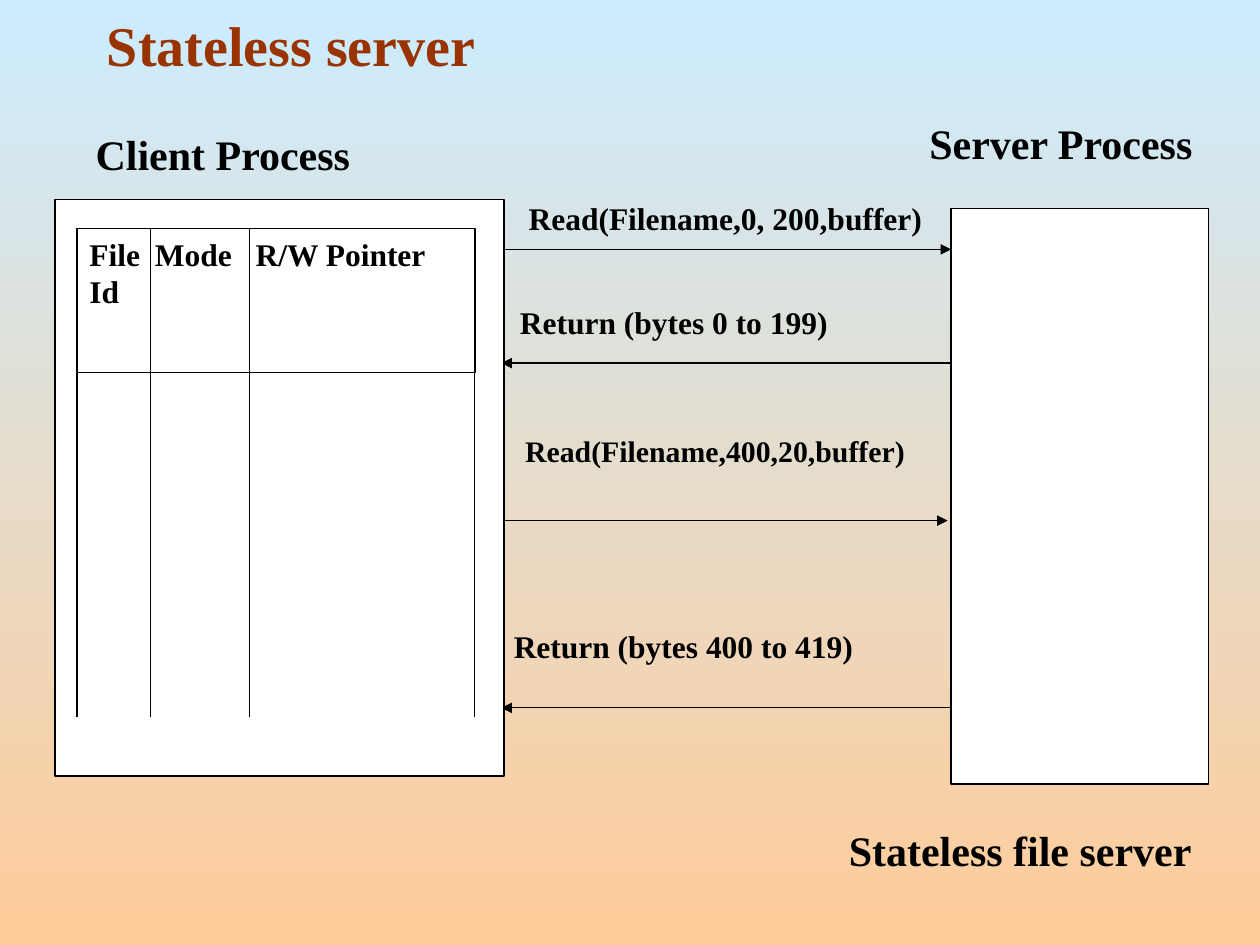
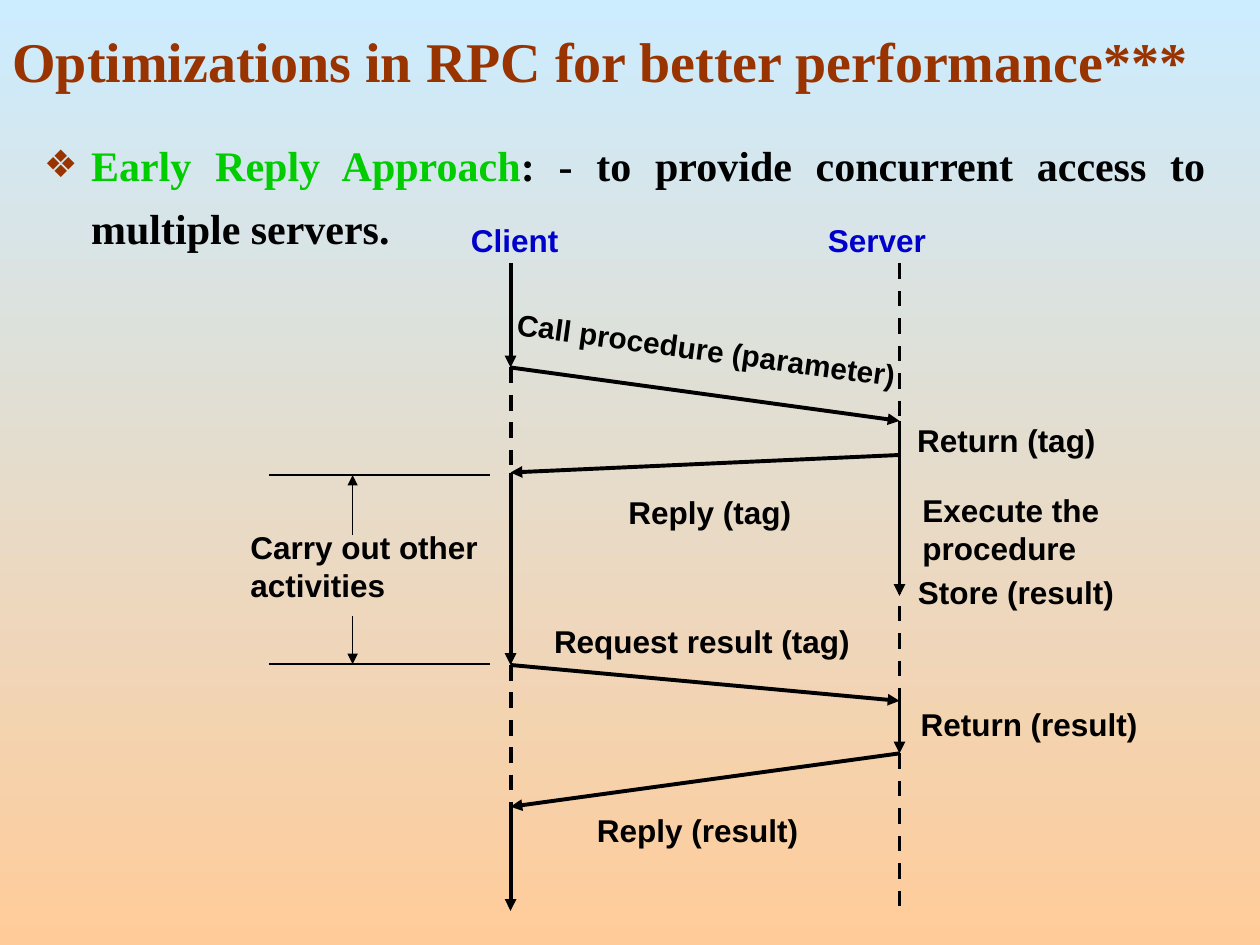
from lxml.etree import SubElement
from pptx import Presentation
from pptx.dml.color import RGBColor
from pptx.enum.dml import MSO_LINE
from pptx.enum.shapes import MSO_CONNECTOR, MSO_SHAPE
from pptx.enum.text import MSO_ANCHOR, PP_ALIGN
from pptx.oxml.ns import qn
from pptx.util import Pt

SKY = RGBColor(0xCC, 0xEC, 0xFF)
PEACH = RGBColor(0xFF, 0xCC, 0x99)
RUST = RGBColor(0x99, 0x33, 0x00)
GREEN = RGBColor(0x00, 0xCC, 0x00)
BLUE = RGBColor(0x00, 0x00, 0xCC)
BLACK = RGBColor(0, 0, 0)
WHITE = RGBColor(0xFF, 0xFF, 0xFF)
SERIF = "Times New Roman"
SANS = "Arial"
THIN = 0.75
THICK = 2.25


def new_slide(deck):
    slide = deck.slides.add_slide(deck.slide_layouts[6])
    backdrop = slide.background.fill
    backdrop.gradient()
    backdrop.gradient_angle = 270
    for stop, colour in zip(backdrop.gradient_stops, (SKY, PEACH)):
        stop.color.rgb = colour
    return slide


def style(font, face, size, colour=BLACK):
    font.name, font.size, font.bold = face, Pt(size), True
    font.color.rgb = colour


def add_text(slide, text, box, face=SERIF, size=18, colour=BLACK):
    label = slide.shapes.add_textbox(*map(Pt, box))
    label.text_frame.word_wrap = True
    label.text_frame.text = text
    style(label.text_frame.paragraphs[0].runs[0].font, face, size, colour)
    return label


def add_title(slide, text, box):
    title = add_text(slide, text, box, size=32, colour=RUST)
    title.text_frame.vertical_anchor = MSO_ANCHOR.BOTTOM


def add_line(slide, start, end, width=THIN, arrow=False, dashed=False):
    stroke = slide.shapes.add_connector(
        MSO_CONNECTOR.STRAIGHT, *map(Pt, (*start, *end)))
    stroke.line.color.rgb = BLACK
    stroke.line.width = Pt(width)
    if dashed:
        stroke.line.dash_style = MSO_LINE.DASH
    properties = stroke._element.spPr
    if arrow:
        SubElement(properties.find(qn("a:ln")), qn("a:tailEnd"), type="triangle")
    SubElement(properties, qn("a:effectLst"))


def add_panel(slide, box):
    panel = slide.shapes.add_shape(MSO_SHAPE.RECTANGLE, *map(Pt, box))
    panel.shadow.inherit = False
    panel.fill.solid()
    panel.fill.fore_color.rgb = WHITE
    panel.line.color.rgb = BLACK
    panel.line.width = Pt(THIN)
    return panel


def add_file_table(slide):
    left, top, width, height = 44, 130.5, 227.5, 82.5
    bottom = 409.5
    header = add_panel(slide, (left, top, width, height))
    frame = header.text_frame
    frame.vertical_anchor = MSO_ANCHOR.TOP
    frame.text = "File\tMode\tR/W Pointer\nId"
    for paragraph in frame.paragraphs:
        paragraph.alignment = PP_ALIGN.LEFT
        stops = SubElement(paragraph._p.get_or_add_pPr(), qn("a:tabLst"))
        for position in (37.5, 95):
            SubElement(stops, qn("a:tab"), pos=str(Pt(position)), algn="l")
        for run in paragraph.runs:
            style(run.font, SERIF, 18)
    for x, start in ((left, top + height), (86, top), (142.5, top),
                     (left + width - 0.5, top + height)):
        add_line(slide, (x, start), (x, bottom))


def add_bullet(slide, heading, rest, box):
    body = add_text(slide, heading, box, size=24, colour=GREEN)
    paragraph = body.text_frame.paragraphs[0]
    paragraph.alignment = PP_ALIGN.JUSTIFY
    paragraph.line_spacing = 1.25
    properties = paragraph._p.get_or_add_pPr()
    properties.set("marL", str(Pt(27)))
    properties.set("indent", str(-Pt(27)))
    colour = SubElement(properties, qn("a:buClr"))
    SubElement(colour, qn("a:srgbClr"), val=str(RUST))
    SubElement(properties, qn("a:buSzPct"), val="90000")
    SubElement(properties, qn("a:buFont"), typeface=SANS)
    SubElement(properties, qn("a:buChar"), char="❖")
    explanation = paragraph.add_run()
    explanation.text = rest
    style(explanation.font, SERIF, 24)


def build_stateless_server(deck):
    slide = new_slide(deck)
    add_title(slide, "Stateless server", (54, 0, 636, 48))
    caption = add_text(slide, "Stateless file server", (466, 466, 234, 52.5), size=24)
    caption.text_frame.paragraphs[0].alignment = PP_ALIGN.CENTER
    caption.text_frame.paragraphs[0].line_spacing = 1.05
    add_text(slide, "Server Process", (524, 63.5, 171.5, 49), size=24)
    add_text(slide, "Client Process", (47.5, 70, 220.5, 49), size=24)

    add_panel(slide, (543.5, 119, 147, 329))
    client, server = 286.5, 543.5
    for text, left, top, size, y, start, end in (
        ("Read(Filename,0, 200,buffer)", 295, 110, 18, 142.5, client, server),
        ("Return (bytes 0 to 199)", 290, 169.5, 18, 207.5, server, client),
        ("Read(Filename,400,20,buffer)", 293, 244, 17, 297.5, client, 541.5),
        ("Return (bytes 400 to 419)", 286.5, 355, 18, 404.5, server, client),
    ):
        add_text(slide, text, (left, top, 250, 33), size=size)
        add_line(slide, (start, y), (end, y), arrow=True)

    add_panel(slide, (31.5, 114, 256.5, 329.5))
    add_file_table(slide)


def build_early_reply(deck):
    slide = new_slide(deck)
    add_bullet(slide, "Early Reply Approach",
               ": - to provide concurrent access to multiple servers.",
               (18, 69, 678, 69))

    client, server = 291.75, 514
    start, call, reply, request, result, end = 150.5, 210, 270, 380, 461, 520.5
    called, tagged, stored, requested, returned = 240.5, 260, 340.5, 400.5, 430.5
    for x, top, bottom, running in (
        (client, start, call, True),
        (client, call, reply, False),
        (client, reply, request, True),
        (client, request, result, False),
        (client, result, end, True),
        (server, start, called, False),
        (server, called, stored, True),
        (server, 330.5, requested, False),
        (server, requested, returned, True),
        (server, returned, end, False),
    ):
        add_line(slide, (x, top), (x, bottom), THICK, running, not running)

    for origin, target in (
        ((client, call), (server, called)),
        ((server, tagged), (client, reply)),
        ((client, request), (server, requested)),
        ((server, returned), (client, result)),
    ):
        add_line(slide, origin, target, THICK, arrow=True)

    for text, left, top, width, colour in (
        ("Client", 262, 123, 78, BLUE),
        ("Server", 466, 123, 96, BLUE),
        ("Reply (tag)", 352, 278, 132, BLACK),
        ("Request result (tag)", 309.5, 352, 192, BLACK),
        ("Reply (result)", 334, 460, 150, BLACK),
        ("Carry out other activities", 136, 298, 168, BLACK),
        ("Return (tag)", 517, 237, 132, BLACK),
        ("Execute the procedure", 520, 277, 168, BLACK),
        ("Store (result)", 517.5, 324, 144, BLACK),
        ("Return (result)", 519, 399.5, 144, BLACK),
    ):
        add_text(slide, text, (left, top, width, 29), SANS, 18, colour)
    call_label = add_text(slide, "Call procedure (parameter)",
                          (287.5, 187, 250, 27.5), SANS, 17)
    call_label.rotation = 7.8

    waiting = 201.5
    for edge, inner in ((271.5, 305.5), (379.5, 352)):
        add_line(slide, (280, edge), (154, edge))
        add_line(slide, (waiting, inner), (waiting, edge), arrow=True)

    add_title(slide, "Optimizations in RPC for better performance***", (0, 0, 720, 57))


def main():
    deck = Presentation()
    deck.slide_width, deck.slide_height = Pt(720), Pt(540)
    build_stateless_server(deck)
    build_early_reply(deck)
    deck.save("out.pptx")


if __name__ == "__main__":
    main()
